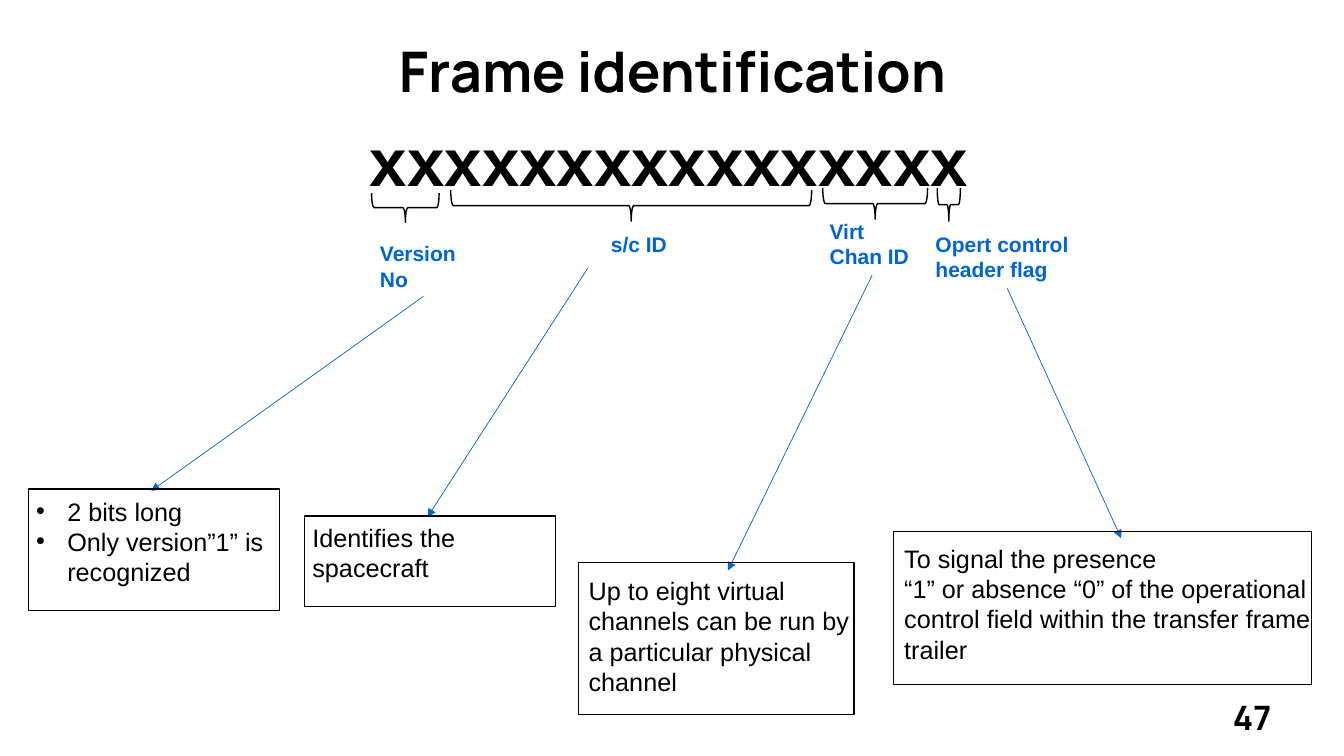
import pptx
import pptx.util
import pptx.dml.color
import pptx.enum.shapes
import pptx.enum.text
import pptx.oxml
from dataclasses import dataclass
from pptx.util import Inches


@dataclass(frozen=True)
class Theme:
    black: str = "000000"
    blue: str = "0064D2"
    body_font: str = "Arial"
    title_font: str = "Manrope"
    title_size: int = 40
    bits_size: int = 48
    label_size: int = 15
    body_size: int = 18
    number_size: int = 24


theme = Theme()
colour = pptx.dml.color.RGBColor.from_string
shape_kind = pptx.enum.shapes.MSO_SHAPE
DRAWING = 'xmlns:a="http://schemas.openxmlformats.org/drawingml/2006/main"'


def write(box, text, *, size, font=theme.body_font, color=theme.black, bold=False,
          centred=False, bullets=False, anchor=pptx.enum.text.MSO_ANCHOR.TOP):
    frame = box.text_frame
    frame.word_wrap = True
    frame.vertical_anchor = anchor
    frame.text = text
    for para in frame.paragraphs:
        if bullets:
            properties = para._p.get_or_add_pPr()
            properties.set("marL", str(Inches(0.31)))
            properties.set("indent", str(-Inches(0.31)))
            properties.append(pptx.oxml.parse_xml(f'<a:buFont {DRAWING} typeface="Arial"/>'))
            properties.append(pptx.oxml.parse_xml(f'<a:buChar {DRAWING} char="•"/>'))
        if centred:
            para.alignment = pptx.enum.text.PP_ALIGN.CENTER
        for span in para.runs:
            span.font.name = font
            span.font.size = pptx.util.Pt(size)
            span.font.bold = bold
            span.font.color.rgb = colour(color)


def outline(shapes, kind, left, top, width, height):
    shape = shapes.add_shape(kind, Inches(left), Inches(top), Inches(width), Inches(height))
    shape.shadow.inherit = False
    shape.fill.background()
    shape.line.color.rgb = colour(theme.black)
    shape.line.width = pptx.util.Pt(1)
    return shape


deck = pptx.Presentation()
deck.slide_width, deck.slide_height = Inches(13.33), Inches(7.5)
page = deck.slides.add_slide(deck.slide_layouts[5])

title = page.shapes.title
title.left, title.top, title.width, title.height = map(Inches, (3.05, 0.31, 7.24, 0.77))
write(title, "Frame identification", size=theme.title_size, font=theme.title_font,
      bold=True, centred=True, anchor=pptx.enum.text.MSO_ANCHOR.MIDDLE)

bits = page.shapes.add_textbox(*map(Inches, (2.98, 1.13, 7.31, 0.91)))
write(bits, "x" * 16, size=theme.bits_size, bold=True, centred=True)

braces = [
    (4.02, 2.06, 0.67, 0.29),
    (6.26, 2.04, 3.58, 0.31),
    (8.68, 2.02, 1.04, 0.31),
    (9.41, 2.03, 0.23, 0.33),
]
for centre, middle, length, depth in braces:
    brace = outline(page.shapes, shape_kind.RIGHT_BRACE,
                    centre - depth / 2, middle - length / 2, depth, length)
    brace.rotation = 90

labels = [
    ("Version No", 3.67, 2.34, 1.05, 0.61),
    ("s/c ID", 5.96, 2.25, 1.05, 0.35),
    ("Virt Chan ID", 8.13, 2.12, 1.05, 0.61),
    ("Opert control header flag", 9.18, 2.25, 1.62, 0.61),
]
for text, *place in labels:
    label = page.shapes.add_textbox(*map(Inches, place))
    write(label, text, size=theme.label_size, color=theme.blue, bold=True)

notes = [
    ("2 bits long\nOnly version”1” is recognized", True,
     (4.2, 2.94, 1.5, 4.87), (0.28, 4.85, 2.49, 1.21), (0.26, 4.87, 2.49, 1.01)),
    ("Identifies the spacecraft", False,
     (5.83, 2.66, 4.24, 5.13), (3.02, 5.12, 2.49, 0.9), (3, 5.13, 2.49, 0.71)),
    ("Up to eight virtual channels can be run by a particular physical channel", False,
     (8.65, 2.73, 7.22, 5.66), (5.74, 5.58, 2.73, 1.51), (5.74, 5.66, 2.96, 1.31)),
    ("To signal the presence\n“1” or absence “0” of the operational control field "
     "within the transfer frame trailer", False,
     (9.99, 2.86, 11.12, 5.34), (8.86, 5.27, 4.15, 1.52), (8.87, 5.34, 4.5, 1.31)),
]
for text, bullets, ends, border, place in notes:
    arrow = page.shapes.add_connector(
        pptx.enum.shapes.MSO_CONNECTOR.STRAIGHT, *map(Inches, ends))
    arrow.line.color.rgb = colour(theme.blue)
    arrow.line.width = pptx.util.Pt(0.5)
    arrow.line._get_or_add_ln().append(
        pptx.oxml.parse_xml(f'<a:tailEnd {DRAWING} type="triangle"/>'))
    arrow._element.spPr.append(pptx.oxml.parse_xml(f"<a:effectLst {DRAWING}/>"))

    group = page.shapes.add_group_shape()
    outline(group.shapes, shape_kind.RECTANGLE, *border)
    note = group.shapes.add_textbox(*map(Inches, place))
    write(note, text, size=theme.body_size, bullets=bullets)

number = page.shapes.add_textbox(*map(Inches, (12.13, 6.86, 0.97, 0.5)))
write(number, "47", size=theme.number_size, font=theme.title_font, bold=True)

deck.save("out.pptx")
